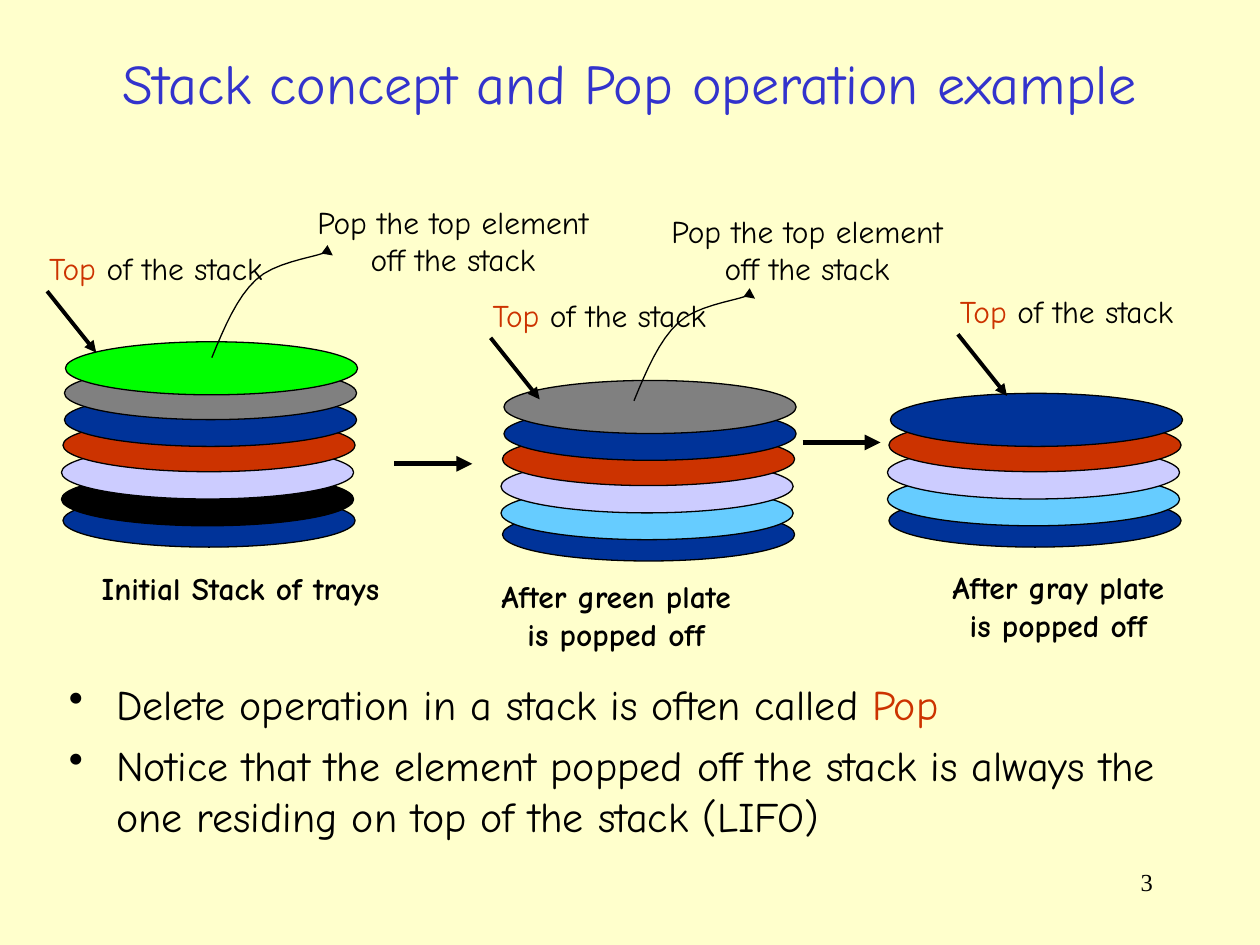
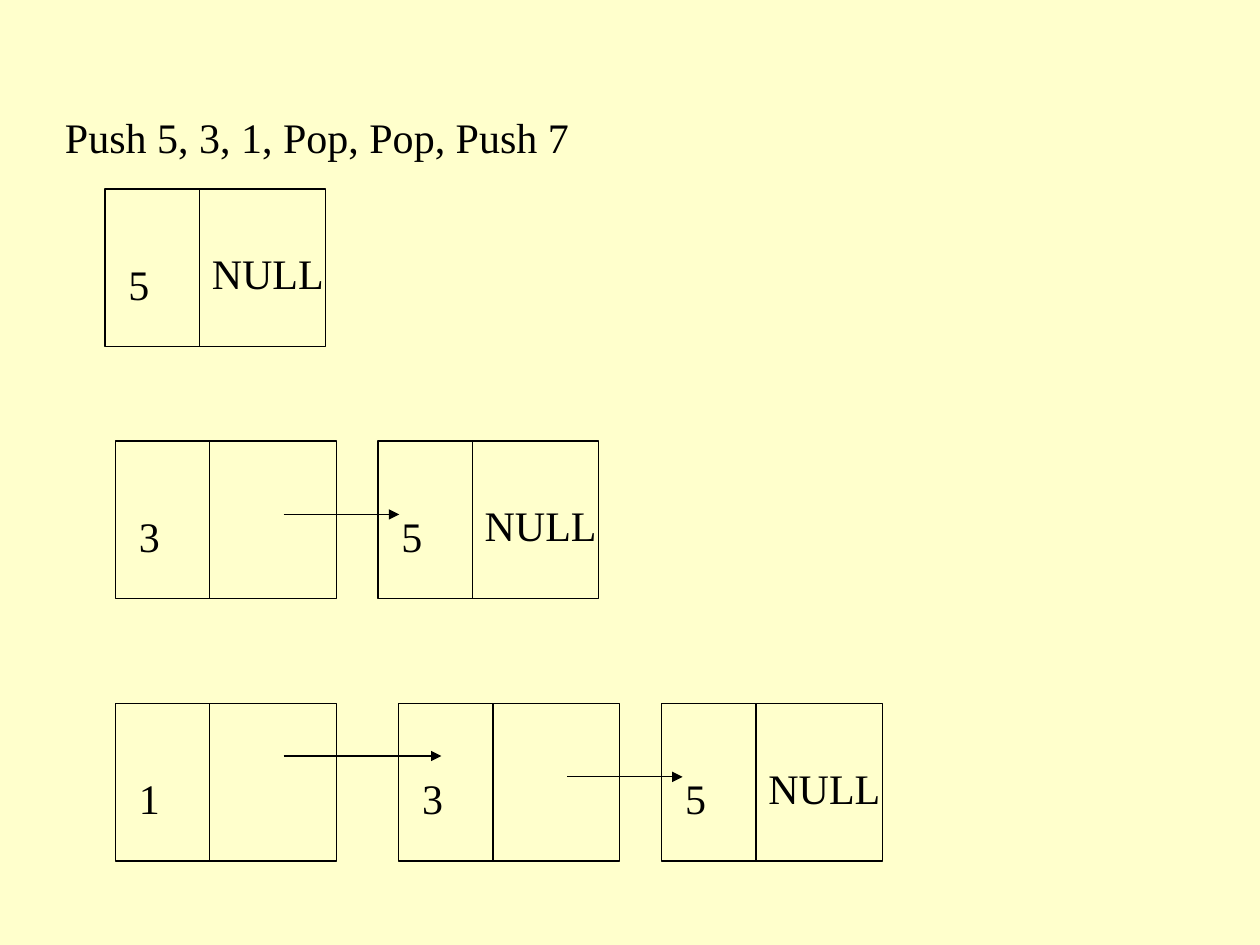
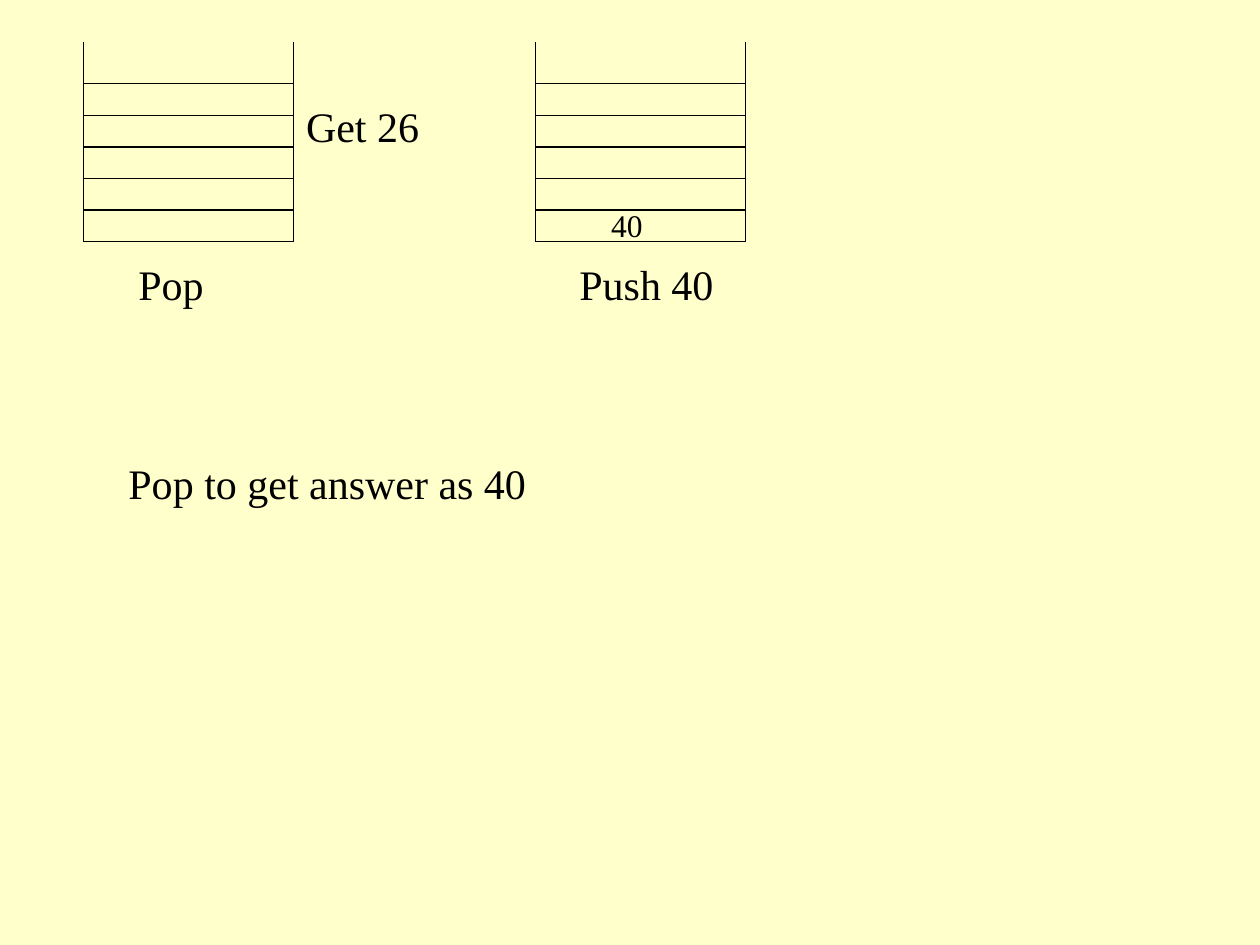
from dataclasses import dataclass

from lxml import etree
from pptx import Presentation, util as u
from pptx.dml.color import RGBColor
from pptx.enum import shapes as sh, text as tx
from pptx.oxml.ns import qn

Cm, Pt = u.Cm, u.Pt


@dataclass(frozen=True)
class Theme:
    back: str = "FFFFCC"
    ink: str = "000000"
    title: str = "3333CC"
    red: str = "CC3300"
    navy: str = "003399"
    sky: str = "66CCFF"
    lilac: str = "CCCCFF"
    gray: str = "808080"
    green: str = "00FF00"
    hand: str = "Comic Neue"
    serif: str = "Times New Roman"
    head: int = 32
    body: int = 24
    label: int = 18
    foot: int = 14
    thin: float = 0.75
    mid: float = 2.25
    thick: float = 3


T = Theme()
MID, RIGHT = tx.PP_ALIGN.CENTER, tx.PP_ALIGN.RIGHT

# Content: a text is a list of paragraphs, a paragraph a list of runs (words, colour)
TITLE = [[("Stack concept and Pop operation example", T.title)]]
NUMBER = [[("3", T.ink)]]
POINTS = [
    [("Delete operation in a stack is often called ", T.ink), ("Pop", T.red)],
    [("Notice that the element popped off the stack is always the one "
      "residing on top of the stack (LIFO)", T.ink)],
]
TOP = [[("Top", T.red), (" of the stack", T.ink)]]

# Trays are listed from the bottom up; all lengths are in cm
LATER = [T.navy, T.sky, T.lilac, T.red, T.navy, T.gray]
STACKS = [
    dict(base=(1.27, 9.96), top=(0.74, 4.9),
         trays=[T.navy, T.ink, T.lilac, T.red, T.navy, T.gray, T.green],
         lines=["Initial Stack of trays"], cap=(1.8, 11.35, 6.15, 1.02),
         note=(6.12, 3.96), curve=(4.27, 7.21), flow=(7.95, 9.35)),
    dict(base=(10.13, 10.24), top=(9.68, 5.84), trays=LATER,
         lines=["After green plate", "is popped off"], cap=(9.83, 11.51, 5.18, 1.78),
         note=(13.26, 4.14), curve=(12.78, 8.08), flow=(16.18, 8.92)),
    dict(base=(17.92, 9.96), top=(19.1, 5.77), trays=LATER[:-1],
         lines=["After gray plate", "is popped off"], cap=(18.92, 11.33, 4.83, 1.78)),
]
SHIFTS = [(0, 0), (-0.03, 0.43), (-0.03, 0.97), (0, 1.52),
          (0.03, 2.03), (0.03, 2.57), (0.05, 3.07)]
CURVE = [
    [(0, 0), (0.25, -0.61), (0.51, -1.22), (0.89, -1.57)],
    [(0.89, -1.57), (1.24, -1.91), (1.98, -2.01), (2.26, -2.11)],
    [(2.26, -2.11), (2.51, -2.18), (2.49, -2.13), (2.44, -2.06)],
]

# Linked lists: row top, then nodes (left, value, link drop and length)
STEPS = "Push 5, 3, 1, Pop, Pop, Push 7"
NEAR, FAR = (1.48, 2.33), (1.06, 3.18)
CHAINS = [
    (3.81, [(2.12, "5", None)]),
    (8.89, [(2.33, "3", NEAR), (7.62, "5", None)]),
    (14.18, [(2.33, "1", FAR), (8.04, "3", NEAR), (13.34, "5", None)]),
]

# Bins: left side and the value on the lowest shelf
BINS = [(1.69, None), (10.8, "40")]
REMARKS = [
    ("Pop", 2.54, 5.08, 2.75),
    ("Get 26", 5.92, 1.91, 3.18),
    ("Push 40", 11.43, 5.08, 5.08),
    ("Pop to get answer as 40", 2.34, 9.1, 18.42),
]


# Drawing helpers
def write(pen, paras, box, size, font, align=None, bold=False, wrap=True):
    area = pen.add_textbox(*map(Cm, box))
    frame = area.text_frame
    frame.word_wrap = wrap
    for i, runs in enumerate(paras):
        para = frame.paragraphs[0] if i == 0 else frame.add_paragraph()
        para.alignment = align
        for words, color in runs:
            run = para.add_run()
            run.text = words
            run.font.size, run.font.name, run.font.bold = Pt(size), font, bold
            run.font.color.rgb = RGBColor.from_string(color)
    return frame


def label(pen, paras, box, **more):
    write(pen, paras, box, T.label, T.hand, wrap=False, **more)


def plain(pen, words, left, top, width, height=1.27, size=T.body):
    write(pen, [[(words, T.ink)]], (left, top, width, height), size, T.serif)


def stroke(item, width=T.thin, arrow=False):
    item.line.color.rgb = RGBColor.from_string(T.ink)
    item.line.width = Pt(width)
    if arrow:
        etree.SubElement(item.element.spPr.find(qn("a:ln")), qn("a:tailEnd"), type="triangle")


def line(pen, x1, y1, x2, y2, width=T.thin, arrow=False):
    item = pen.add_connector(sh.MSO_CONNECTOR.STRAIGHT, *map(Cm, (x1, y1, x2, y2)))
    stroke(item, width, arrow)
    etree.SubElement(item.element.spPr, qn("a:effectLst"))


def solid(pen, kind, box, color=None):
    item = pen.add_shape(kind, *map(Cm, box))
    paint(item, color)
    stroke(item)


def paint(item, color=None):
    item.shadow.inherit = False
    if color:
        item.fill.solid()
        item.fill.fore_color.rgb = RGBColor.from_string(color)
    else:
        item.fill.background()


def bend(pen, left, top, parts=8):
    """Trace the Bezier pieces of CURVE as one open outline."""
    dots = []
    for piece in CURVE:
        for step in range(1, parts + 1):
            t = step / parts
            mix = ((1 - t) ** 3, 3 * t * (1 - t) ** 2, 3 * t * t * (1 - t), t ** 3)
            x, y = (sum(m * p[axis] for m, p in zip(mix, piece)) for axis in (0, 1))
            dots.append((Cm(left + x), Cm(top + y)))
    form = pen.build_freeform(Cm(left), Cm(top))
    form.add_line_segments(dots, close=False)
    item = form.convert_to_shape()
    paint(item)
    stroke(item, arrow=True)


def bullet(para):
    para.space_before = Pt(6)
    props = para._p.get_or_add_pPr()
    props.set("marL", str(Cm(0.95)))
    props.set("indent", str(-Cm(0.95)))
    etree.SubElement(props, qn("a:buChar"), char="•")


# Slides
def trays(pen):
    write(pen, NUMBER, (18.21, 17.35, 5.28, 1.27), T.foot, T.serif, RIGHT)
    head = write(pen, TITLE, (0.43, 0.69, 24.54, 1.93), T.head, T.hand, MID)
    head.vertical_anchor = tx.MSO_ANCHOR.MIDDLE
    for para in write(pen, POINTS, (1.14, 13.56, 23.47, 3.81), T.body, T.hand).paragraphs:
        bullet(para)

    for stack in STACKS:
        left, low = stack["base"]
        for (dx, rise), color in zip(SHIFTS, stack["trays"]):
            solid(pen, sh.MSO_SHAPE.OVAL, (left + dx, low - rise, 5.89, 1.07), color)
        lines = stack["lines"]
        label(pen, [[(words, T.ink)] for words in lines], stack["cap"],
              align=MID if len(lines) > 1 else None, bold=True)
        if "flow" in stack:
            x, y = stack["flow"]
            line(pen, x, y, x + 1.57, y, T.thick, True)
            bend(pen, *stack["curve"])
            label(pen, [[("Pop the top element", T.ink)], [("off the stack", T.ink)]],
                  (*stack["note"], 6.02, 1.78), align=MID)
        x, y = stack["top"]
        line(pen, x + 0.21, y + 0.97, x + 1.2, y + 2.21, T.mid, True)
        label(pen, TOP, (x, y, 4.88, 1.02))


def chains(pen):
    plain(pen, STEPS, 1.06, 2.12, 17.78)
    wide, high, split = 4.45, 3.18, 1.9
    for top, nodes in CHAINS:
        row = pen.add_group_shape().shapes
        for left, value, link in nodes:
            solid(row, sh.MSO_SHAPE.RECTANGLE, (left, top, wide, high))
            line(row, left + split, top, left + split, top + high)
            plain(row, value, left + 0.22, top + 1.27, 2.12)
            if not link:
                plain(row, "NULL", left + split, top + 1.06, 4.88)
        for left, value, link in nodes:
            if link:
                drop, span = link
                line(row, left + 3.39, top + drop, left + 3.39 + span, top + drop, arrow=True)


def bins(pen):
    rim, first, floor, wide, count = 0.85, 1.69, 4.87, 4.23, 6
    gap = (floor - first) / (count - 1)
    for left, value in BINS:
        rack = pen.add_group_shape().shapes
        for x in (left, left + wide):
            line(rack, x, rim, x, floor)
        for i in range(count):
            line(rack, left, first + i * gap, left + wide, first + i * gap)
        if value:
            plain(rack, value, left + 1.27, 4.02, 1.91, 1.02, T.label)
    for remark in REMARKS:
        plain(pen, *remark)


def main():
    deck = Presentation()
    deck.slide_width, deck.slide_height = Cm(25.4), Cm(19.05)
    fill = deck.slide_master.background.fill
    fill.solid()
    fill.fore_color.rgb = RGBColor.from_string(T.back)
    for draw in (trays, chains, bins):
        draw(deck.slides.add_slide(deck.slide_layouts[6]).shapes)
    deck.save("out.pptx")


if __name__ == "__main__":
    main()
